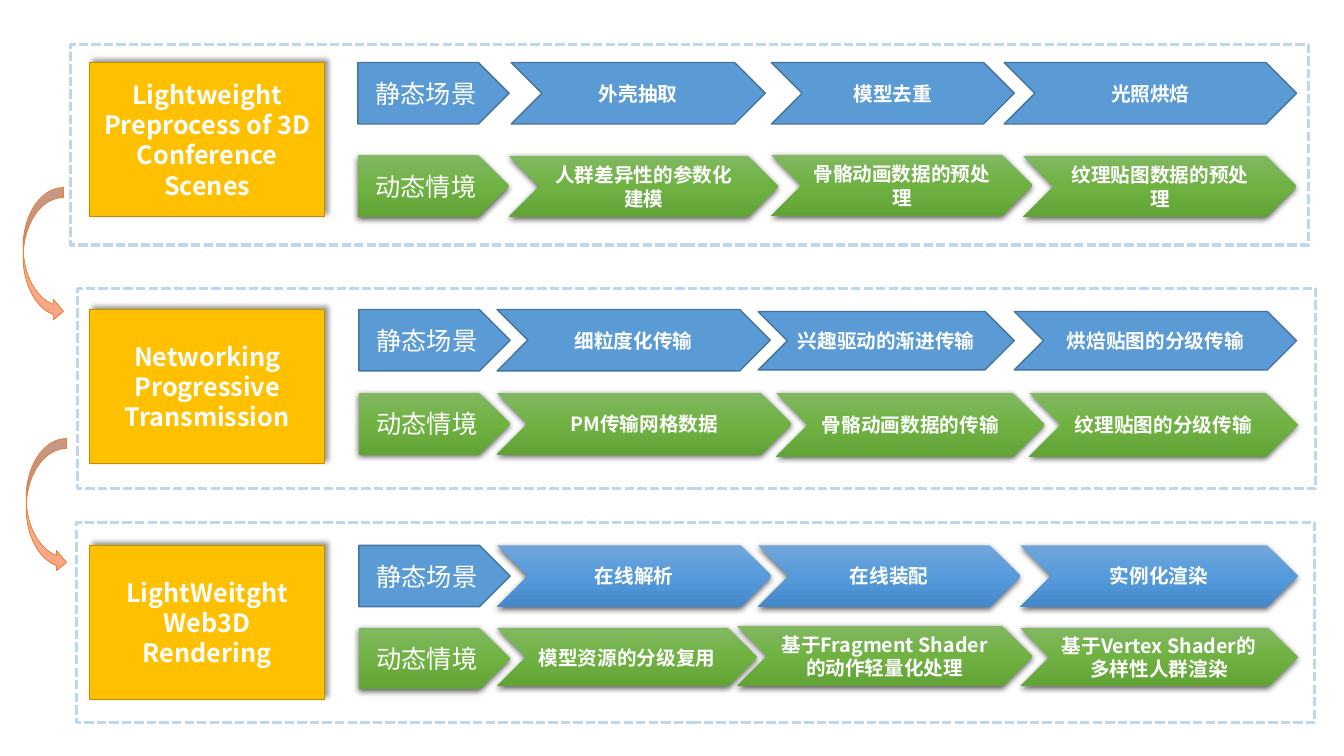
from lxml import etree
from pptx import Presentation
from pptx.dml.color import RGBColor
from pptx.enum.dml import MSO_LINE
from pptx.enum.shapes import MSO_SHAPE
from pptx.enum.text import MSO_ANCHOR, PP_ALIGN
from pptx.oxml import parse_xml
from pptx.oxml.ns import nsdecls, qn
from pptx.util import Inches, Pt

WHITE = RGBColor(0xFF, 0xFF, 0xFF)
BLUE = RGBColor(0x5B, 0x9B, 0xD5)
BLUE_EDGE = RGBColor(0x43, 0x73, 0x9E)
GOLD = RGBColor(0xFF, 0xC0, 0x00)
GOLD_EDGE = RGBColor(0xBD, 0x8E, 0x00)
FRAME_BLUE = RGBColor(0xBD, 0xD7, 0xEE)
ORANGE = RGBColor(0xED, 0x7D, 0x31)

# Gradients run from top to bottom
GREEN_FADE = [RGBColor(0x81, 0xB8, 0x61), RGBColor(0x6F, 0xB2, 0x42), RGBColor(0x62, 0xA3, 0x36)]
BLUE_FADE = [RGBColor(0x71, 0xA6, 0xDB), RGBColor(0x55, 0x9B, 0xDB), RGBColor(0x44, 0x8A, 0xCA)]
ORANGE_FADE = [RGBColor(0xF7, 0xBD, 0xA5), RGBColor(0xF5, 0xB1, 0x96), RGBColor(0xF8, 0xA5, 0x82)]

# Shadows: opacity %, blur pt, distance pt, direction in degrees
SOFT_SHADOW = (63, 4.5, 1.5, 90)
TITLE_SHADOW = (40, 4, 3, 315)

# Looks: fill, edge colour, shadow
FLAT_BLUE = (BLUE, BLUE_EDGE, None)
SHADED_BLUE = (BLUE_FADE, None, SOFT_SHADOW)
SHADED_GREEN = (GREEN_FADE, None, SOFT_SHADOW)

CJK = "Noto Sans CJK SC"
LATIN = "Calibri"

# Content: each stage has two lanes of steps (text, left, top, width, height)
STAGES = [
    {"title": "Lightweight Preprocess of 3D Conference Scenes",
     "top": 0.62, "frame": (0.7, 0.44), "label_left": 3.55,
     "lanes": [
         ("静态场景", 0.62, FLAT_BLUE, [
             ("外壳抽取", 5.07, 0.62, 2.52, 0.61),
             ("模型去重", 7.65, 0.62, 2.41, 0.61),
             ("光照烘焙", 9.96, 0.62, 2.9, 0.61)]),
         ("动态情境", 1.54, SHADED_GREEN, [
             ("人群差异性的参数化建模", 5.05, 1.55, 2.67, 0.6),
             ("骨骼动画数据的预处理", 7.65, 1.54, 2.59, 0.6),
             ("纹理贴图数据的预处理", 10.15, 1.55, 2.71, 0.6)])]},
    {"title": "Networking Progressive Transmission",
     "top": 3.07, "frame": (0.77, 2.86), "label_left": 3.56,
     "lanes": [
         ("静态场景", 3.07, FLAT_BLUE, [
             ("细粒度化传输", 4.93, 3.07, 2.71, 0.61),
             ("兴趣驱动的渐进传输", 7.52, 3.09, 2.54, 0.58),
             ("烘焙贴图的分级传输", 10.06, 3.09, 2.8, 0.58)]),
         ("动态情境", 3.9, SHADED_GREEN, [
             ("PM传输网格数据", 4.93, 3.9, 2.92, 0.61),
             ("骨骼动画数据的传输", 7.7, 3.9, 2.66, 0.63),
             ("纹理贴图的分级传输", 10.21, 3.9, 2.66, 0.63)])]},
    {"title": "LightWeitght Web3D Rendering",
     "top": 5.41, "frame": (0.76, 5.18), "label_left": 3.56,
     "lanes": [
         ("静态场景", 5.41, SHADED_BLUE, [
             ("在线解析", 4.93, 5.41, 2.72, 0.61),
             ("在线装配", 7.52, 5.41, 2.6, 0.61),
             ("实例化渲染", 10.12, 5.41, 2.75, 0.61)]),
         ("动态情境", 6.23, SHADED_GREEN, [
             ("模型资源的分级复用", 4.93, 6.23, 2.58, 0.58),
             ("基于Fragment Shader的动作轻量化处理", 7.31, 6.21, 2.93, 0.6),
             ("基于Vertex Shader的多样性人群渲染", 10.12, 6.23, 2.75, 0.58)])]},
]
LABEL_LOOKS = (FLAT_BLUE, SHADED_GREEN)
LATIN_STEPS = {"兴趣驱动的渐进传输"}
STAGE_ARROWS = [(0.23, 1.86), (0.26, 4.35)]

deck = Presentation()
deck.slide_width, deck.slide_height = Inches(13.33), Inches(7.5)
slide = deck.slides.add_slide(deck.slide_layouts[6])


def fade_fill(shape, colours):
    stops = "".join(f'<a:gs pos="{i * 50000}"><a:srgbClr val="{colour}"/></a:gs>'
                    for i, colour in enumerate(colours))
    fade = parse_xml(f'<a:gradFill {nsdecls("a")} rotWithShape="1"><a:gsLst>{stops}</a:gsLst>'
                     '<a:lin ang="5400000" scaled="0"/></a:gradFill>')
    shape._element.spPr.find(qn("a:prstGeom")).addnext(fade)


def cast_shadow(shape, opacity, blur, distance, direction):
    effects = shape._element.spPr.find(qn("a:effectLst"))
    shadow = etree.SubElement(effects, qn("a:outerShdw"), blurRad=str(Pt(blur)),
                              dist=str(Pt(distance)), dir=str(direction * 60000),
                              algn="ctr", rotWithShape="0")
    black = etree.SubElement(shadow, qn("a:srgbClr"), val="000000")
    etree.SubElement(black, qn("a:alpha"), val=str(opacity * 1000))


def add_block(kind, box, look, edge_width=1):
    fill, edge, shadow = look
    block = slide.shapes.add_shape(kind, *map(Inches, box))
    block.shadow.inherit = False
    if fill is None:
        block.fill.background()
    elif isinstance(fill, list):
        fade_fill(block, fill)
    else:
        block.fill.solid()
        block.fill.fore_color.rgb = fill
    if edge is None:
        block.line.fill.background()
    else:
        block.line.color.rgb = edge
        block.line.width = Pt(edge_width)
    if shadow:
        cast_shadow(block, *shadow)
    return block


def write(block, text, size, font, bold):
    frame = block.text_frame
    frame.word_wrap = True
    frame.vertical_anchor = MSO_ANCHOR.MIDDLE
    frame.text = text
    paragraph = frame.paragraphs[0]
    paragraph.alignment = PP_ALIGN.CENTER
    run = paragraph.runs[0]
    run.font.size, run.font.bold, run.font.name = Pt(size), bold, font
    run.font.color.rgb = WHITE
    run.font._element.find(qn("a:latin")).addnext(
        parse_xml(f'<a:ea {nsdecls("a")} typeface="{CJK}"/>'))


for stage in STAGES:
    # Dashed frame and stage title
    frame_box = add_block(MSO_SHAPE.RECTANGLE, (*stage["frame"], 12.28, 1.99),
                          (None, FRAME_BLUE, None), 2.25)
    frame_box.line.dash_style = MSO_LINE.SQUARE_DOT
    title = add_block(MSO_SHAPE.RECTANGLE, (0.89, stage["top"], 2.33, 1.53),
                      (GOLD, GOLD_EDGE, TITLE_SHADOW))
    write(title, stage["title"], 18, CJK, True)

    # Lanes: a pentagon label followed by chevron steps
    for (label, top, look, steps), label_look in zip(stage["lanes"], LABEL_LOOKS):
        pentagon = add_block(MSO_SHAPE.PENTAGON, (stage["label_left"], top, 1.5, 0.61), label_look)
        write(pentagon, label, 18, LATIN, False)
        for step, *box in steps:
            chevron = add_block(MSO_SHAPE.CHEVRON, box, look)
            write(chevron, step, 14, LATIN if step in LATIN_STEPS else CJK, True)

# Curved arrows from stage to stage
for place in STAGE_ARROWS:
    add_block(MSO_SHAPE.CURVED_RIGHT_ARROW, (*place, 0.4, 1.33), (ORANGE_FADE, ORANGE, None), 0.5)

deck.save("out.pptx")
